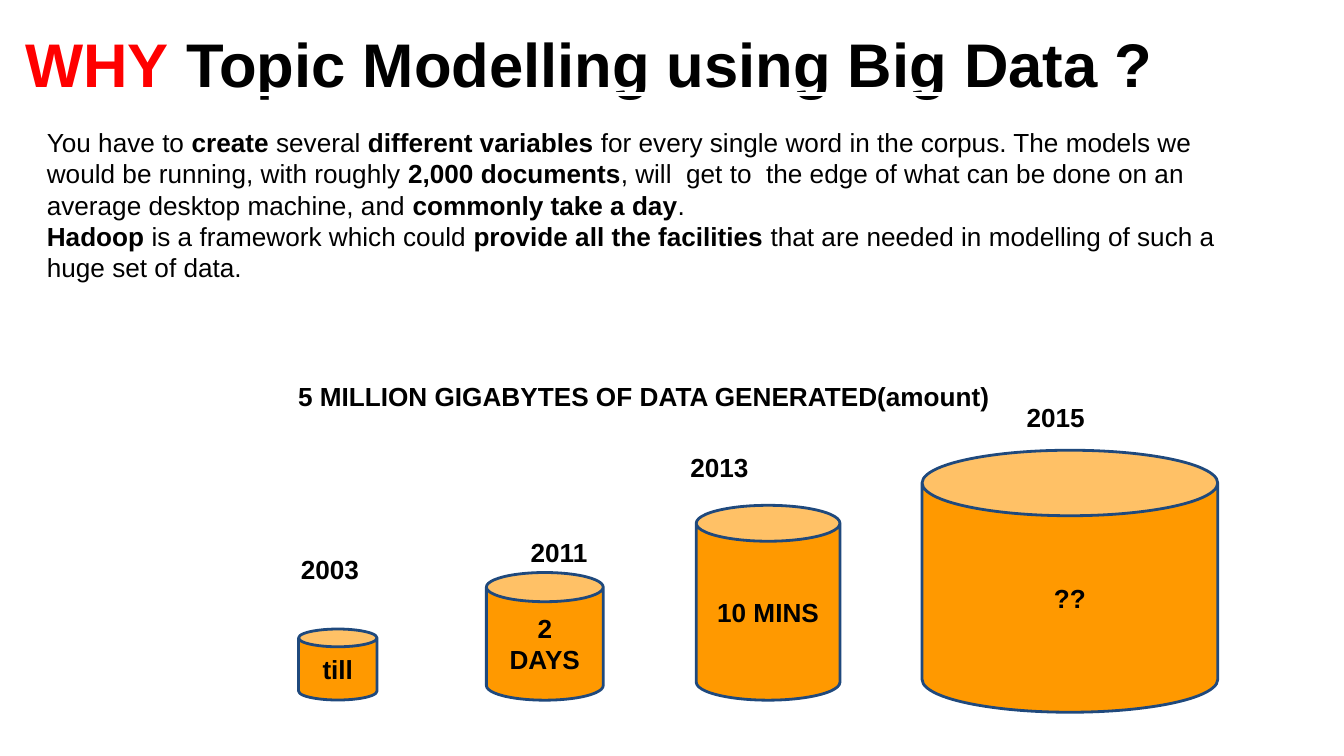
"""Build the slide on topic modelling with big data and its growing data cylinders."""
from lxml.etree import SubElement
from pptx import Presentation
from pptx.dml.color import RGBColor
from pptx.enum.shapes import MSO_SHAPE
from pptx.enum.text import MSO_ANCHOR, PP_ALIGN
from pptx.oxml.ns import qn
from pptx.util import Pt

BLACK = RGBColor(0x00, 0x00, 0x00)
RED = RGBColor(0xFF, 0x00, 0x00)
WHITE = RGBColor(0xFF, 0xFF, 0xFF)
ORANGE = RGBColor(0xFF, 0x99, 0x00)
NAVY = RGBColor(0x1F, 0x49, 0x7D)

INSET = Pt(7.2)
FRAME = {
    "word_wrap": True,
    "margin_left": INSET,
    "margin_top": INSET,
    "margin_right": INSET,
    "margin_bottom": INSET,
}
BODY = {"name": "Arial", "size": Pt(14), "bold": False}
STRONG = {**BODY, "bold": True}
HEADLINE = {**STRONG, "size": Pt(33), "underline": True}


def write(holder, paragraphs, anchor=MSO_ANCHOR.TOP, align=PP_ALIGN.LEFT):
    frame = holder.text_frame
    for key, value in {**FRAME, "vertical_anchor": anchor}.items():
        setattr(frame, key, value)
    for index, pieces in enumerate(paragraphs):
        paragraph = frame.add_paragraph() if index else frame.paragraphs[0]
        paragraph.alignment = align
        for words, style, color in pieces:
            run = paragraph.add_run()
            run.text = words
            for key, value in style.items():
                setattr(run.font, key, value)
            run.font.color.rgb = color
    return frame


deck = Presentation()
deck.slide_width, deck.slide_height = Pt(720), Pt(405)
slide = deck.slides.add_slide(deck.slide_layouts[6])
shapes = slide.shapes

title = shapes.add_textbox(Pt(6.5), Pt(2.9), Pt(687.6), Pt(57.6))
title_frame = write(
    title,
    [[("WHY", HEADLINE, RED), (" Topic Modelling using Big Data ?", HEADLINE, BLACK)]],
    MSO_ANCHOR.BOTTOM,
)
for run in title_frame.paragraphs[0].runs:
    properties = run.font._element
    underline = SubElement(properties, qn("a:uFill"))
    solid = SubElement(underline, qn("a:solidFill"))
    SubElement(solid, qn("a:srgbClr"), val=str(WHITE))
    properties.find(qn("a:latin")).addprevious(underline)

explanation = [
    [
        ("You have to ", BODY),
        ("create", STRONG),
        (" several ", BODY),
        ("different variables", STRONG),
        (" for every single word in the corpus. The models we would be running, "
         "with roughly ", BODY),
        ("2,000 documents", STRONG),
        (", will  get to  the edge of what can be done on an average desktop "
         "machine, and ", BODY),
        ("commonly take a day", STRONG),
        (".", BODY),
    ],
    [
        ("Hadoop", STRONG),
        (" is a framework which could ", BODY),
        ("provide all the facilities ", STRONG),
        ("that are needed in modelling of such a huge set of data.", BODY),
    ],
]
body = shapes.add_textbox(Pt(18), Pt(60.5), Pt(661.7), Pt(125.3))
write(body, [[(*piece, BLACK) for piece in pieces] for pieces in explanation])

cylinders = [
    ("till", 160, 337, 42, 38),
    ("2 DAYS", 260.6, 306.7, 62.6, 68.4),
    ("10 MINS", 373, 270.7, 77, 104.4),
    ("??", 494, 241.2, 158.4, 140.4),
]
for duration, *box in cylinders:
    cylinder = shapes.add_shape(MSO_SHAPE.CAN, *map(Pt, box))
    cylinder.adjustments[0] = 0.25
    cylinder.shadow.inherit = False
    cylinder.fill.solid()
    cylinder.fill.fore_color.rgb = ORANGE
    cylinder.line.color.rgb = NAVY
    cylinder.line.width = Pt(1.5)
    write(cylinder, [[(duration, STRONG, BLACK)]], MSO_ANCHOR.MIDDLE, PP_ALIGN.CENTER)

captions = [
    ("5 MILLION GIGABYTES OF DATA GENERATED(amount)", 152.6, 196.6, 449.3, 38),
    ("2003", 154.1, 289.4, 62.6, 26.6),
    ("2011", 277.2, 280.1, 46.8, 18),
    ("2013", 362.7, 234.7, 120, 18),
    ("2015", 542.9, 208.1, 52.6, 26.6),
]
for words, *box in captions:
    caption = shapes.add_textbox(*map(Pt, box))
    write(caption, [[(words, STRONG, BLACK)]])

deck.save("out.pptx")
